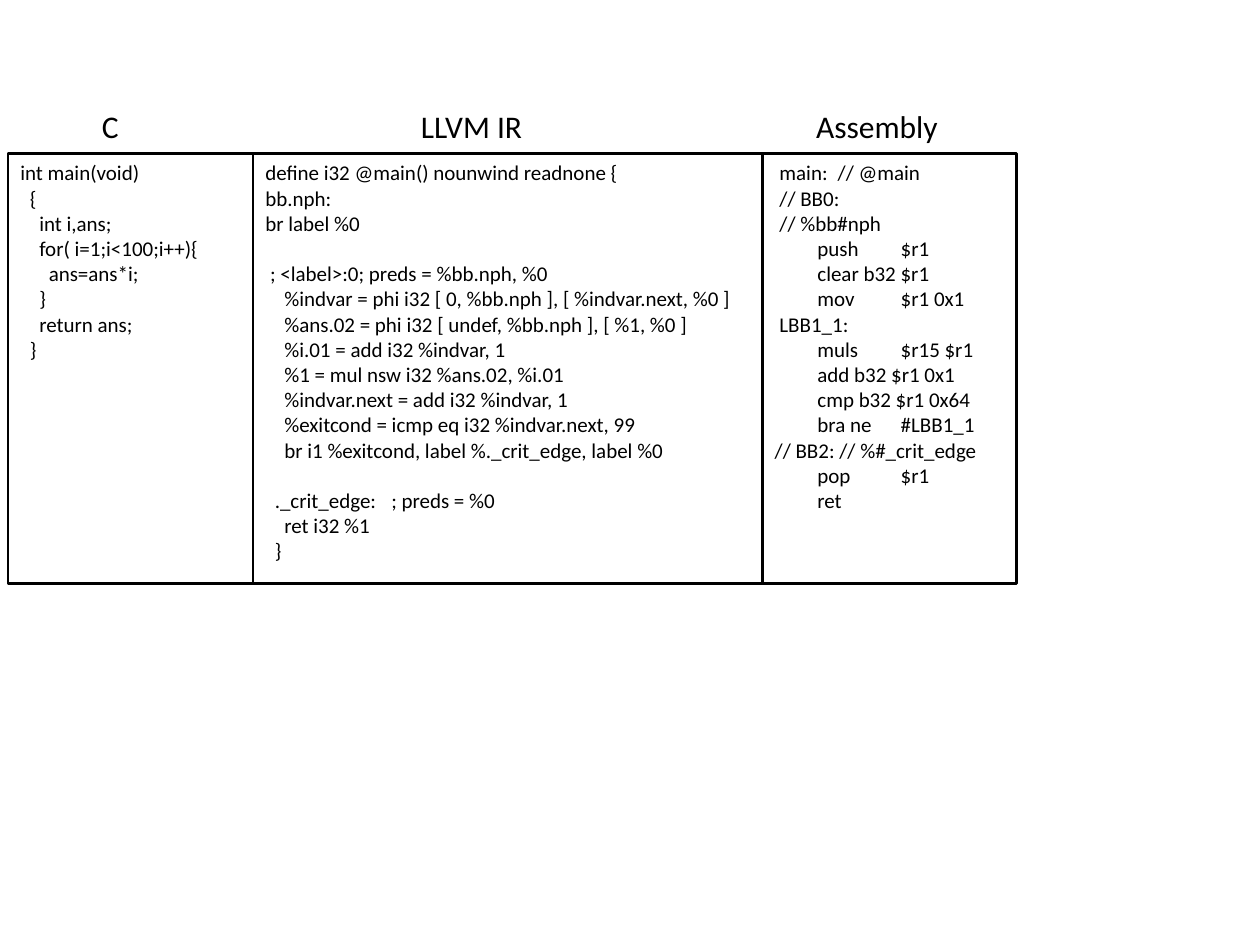
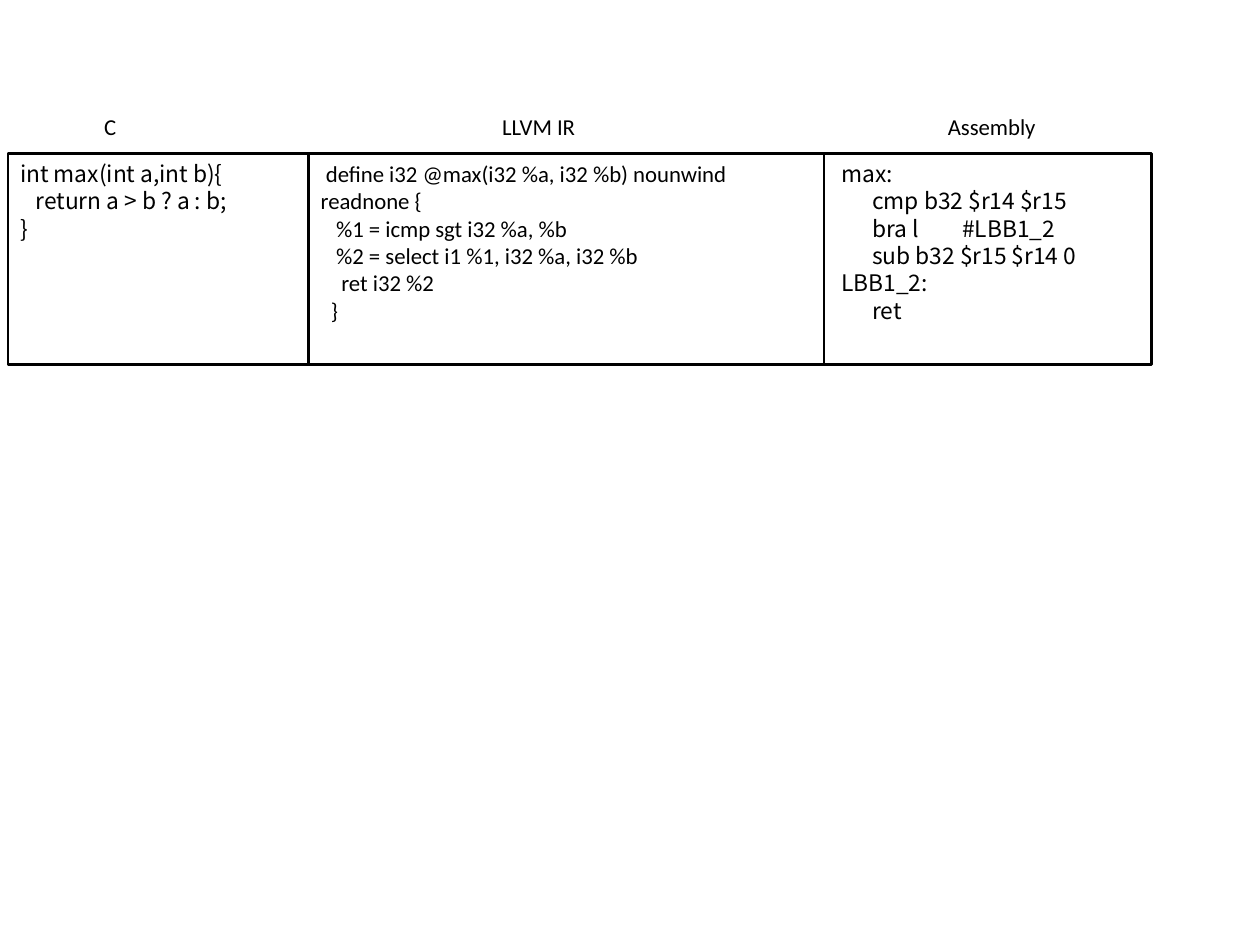
"""Two slides that set C code beside its LLVM IR and its assembly."""
from itertools import pairwise

from pptx import Presentation
from pptx.dml.color import RGBColor
from pptx.enum.shapes import MSO_SHAPE
from pptx.enum.text import MSO_ANCHOR, PP_ALIGN
from pptx.oxml.ns import qn
from pptx.util import Pt
from lxml import etree

RECT = MSO_SHAPE.RECTANGLE
TOP, MIDDLE = MSO_ANCHOR.TOP, MSO_ANCHOR.MIDDLE
LEFT, CENTER = PP_ALIGN.LEFT, PP_ALIGN.CENTER

BLACK = RGBColor(0x00, 0x00, 0x00)
WHITE = RGBColor(0xFF, 0xFF, 0xFF)
SANS, NOTO = "Calibri", "Noto Sans CJK JP"

HEADS = ("C", "LLVM IR", "Assembly")
HEAD_WIDTHS = (77, 77, 103.7)
HEAD_TOP, HEAD_HIGH = 58.3, 27.4
BOX_TOP = 87.8
SPACE = 0.226  # width of one indent step, as a share of the text size
SKIP = 1.2     # height of a skipped line, as a share of the text size

# A code line is (indent steps, text[, stop of its inner tab in points]).
# None stands for a skipped line.
LOOP_C = [
    (0, "int main(void)"),
    (2, "{"),
    (4, "int i,ans;"),
    (4, "for( i=1;i<100;i++){"),
    (6, "ans=ans*i;"),
    (4, "}"),
    (4, "return ans;"),
    (2, "}"),
]
LOOP_IR = [
    (0, "define i32 @main() nounwind readnone {"),
    (0, "bb.nph:"),
    (0, "br label %0"),
    None,
    (1, "; <label>:0; preds = %bb.nph, %0"),
    (4, "%indvar = phi i32 [ 0, %bb.nph ], [ %indvar.next, %0 ]"),
    (4, "%ans.02 = phi i32 [ undef, %bb.nph ], [ %1, %0 ]"),
    (4, "%i.01 = add i32 %indvar, 1"),
    (4, "%1 = mul nsw i32 %ans.02, %i.01"),
    (4, "%indvar.next = add i32 %indvar, 1"),
    (4, "%exitcond = icmp eq i32 %indvar.next, 99"),
    (4, "br i1 %exitcond, label %._crit_edge, label %0"),
    None,
    (2, "._crit_edge:\t; preds = %0", 125),
    (4, "ret i32 %1"),
    (2, "}"),
]
LOOP_ASM = [
    (1, "main:\t// @main", 47),
    (1, "// BB0:"),
    (1, "// %bb#nph"),
    (9, "push\t$r1", 58.5),
    (9, "clear b32 $r1"),
    (9, "mov\t$r1 0x1", 58.5),
    (1, "LBB1_1:"),
    (9, "muls\t$r15 $r1", 58.5),
    (9, "add b32 $r1 0x1"),
    (9, "cmp b32 $r1 0x64"),
    (9, "bra ne\t#LBB1_1", 66.3),
    (0, "// BB2: // %#_crit_edge"),
    (9, "pop\t$r1", 57),
    (9, "ret"),
]
MAX_C = [
    (0, "int max(int a,int b){"),
    (3, "return a > b ? a : b;"),
    (0, "}"),
]
MAX_IR = [
    (1, "define i32 @max(i32 %a, i32 %b) nounwind readnone {"),
    (3, "%1 = icmp sgt i32 %a, %b"),
    (3, "%2 = select i1 %1, i32 %a, i32 %b"),
    (4, "ret i32 %2"),
    (2, "}"),
]
MAX_ASM = [
    (1, "max:"),
    (7, "cmp b32 $r14 $r15"),
    (7, "bra l\t#LBB1_2", 55),
    (7, "sub b32 $r15 $r14 0"),
    (1, "LBB1_2:"),
    (7, "ret"),
]


def add_box(group, left, top, wide, high, line, anchor):
    """Add an outlined rectangle and return it."""
    box = group.shapes.add_shape(RECT, Pt(left), Pt(top), Pt(wide), Pt(high))
    box.shadow.inherit = False
    box.fill.background()
    box.line.color.rgb = line
    box.line.width = Pt(1.5)
    box.text_frame.word_wrap = True
    box.text_frame.vertical_anchor = anchor
    return box


def write(para, text, font, size, align):
    """Set the text of a paragraph and format its runs."""
    para.text = text
    para.alignment = align
    for run in para.runs:
        run.font.name = font
        run.font.size = Pt(size)
        run.font.color.rgb = BLACK


def set_indent(para, indent, stops):
    """Indent the first line and set the tab stops, in points."""
    props = para._p.get_or_add_pPr()
    props.set("marL", "0")
    props.set("indent", str(Pt(indent)))
    if stops:
        tabs = etree.SubElement(props, qn("a:tabLst"))
        for stop in stops:
            etree.SubElement(tabs, qn("a:tab"), pos=str(Pt(stop)), algn="l")


def add_head(group, text, left, wide, size):
    """Add the white label above a column."""
    box = add_box(group, left, HEAD_TOP, wide, HEAD_HIGH, WHITE, MIDDLE)
    box.fill.solid()
    box.fill.fore_color.rgb = WHITE
    write(box.text_frame.paragraphs[0], text, SANS, size, CENTER)


def add_code(group, lines, left, wide, high, font, size):
    """Add a framed column of code."""
    box = add_box(group, left, BOX_TOP, wide, high, BLACK, TOP)
    frame = box.text_frame
    para, skip = frame.paragraphs[0], False
    for row, line in enumerate(lines):
        if line is None:
            skip = True
            continue
        steps, text, *stops = line
        if row:
            para = frame.add_paragraph()
        write(para, text, font, size, LEFT)
        if skip:
            para.space_before = Pt(size * SKIP)
            skip = False
        set_indent(para, steps * SPACE * size, stops)


def add_slide(deck, edges, high, codes, fonts, size, heads, head_size):
    """Add a slide with three columns of code and their labels."""
    slide = deck.slides.add_slide(deck.slide_layouts[6])
    group = slide.shapes.add_group_shape()
    for (left, right), code, font in zip(pairwise(edges), codes, fonts):
        add_code(group, code, left, right - left, high, font, size)
    for text, left, wide in zip(HEADS, heads, HEAD_WIDTHS):
        add_head(group, text, left, wide, head_size)


def main():
    """Build and save the deck."""
    deck = Presentation()
    deck.slide_width, deck.slide_height = Pt(720), Pt(540)
    add_slide(deck, (4.5, 144.5, 435.6, 581), 245.5,
              (LOOP_C, LOOP_IR, LOOP_ASM), (SANS, SANS, SANS), 12,
              (24.5, 231, 449.3), 18)
    add_slide(deck, (4.5, 176.2, 470.9, 658), 120.4,
              (MAX_C, MAX_IR, MAX_ASM), (NOTO, SANS, NOTO), 13,
              (24.5, 269.3, 514.8), 13)
    deck.save("out.pptx")


main()
